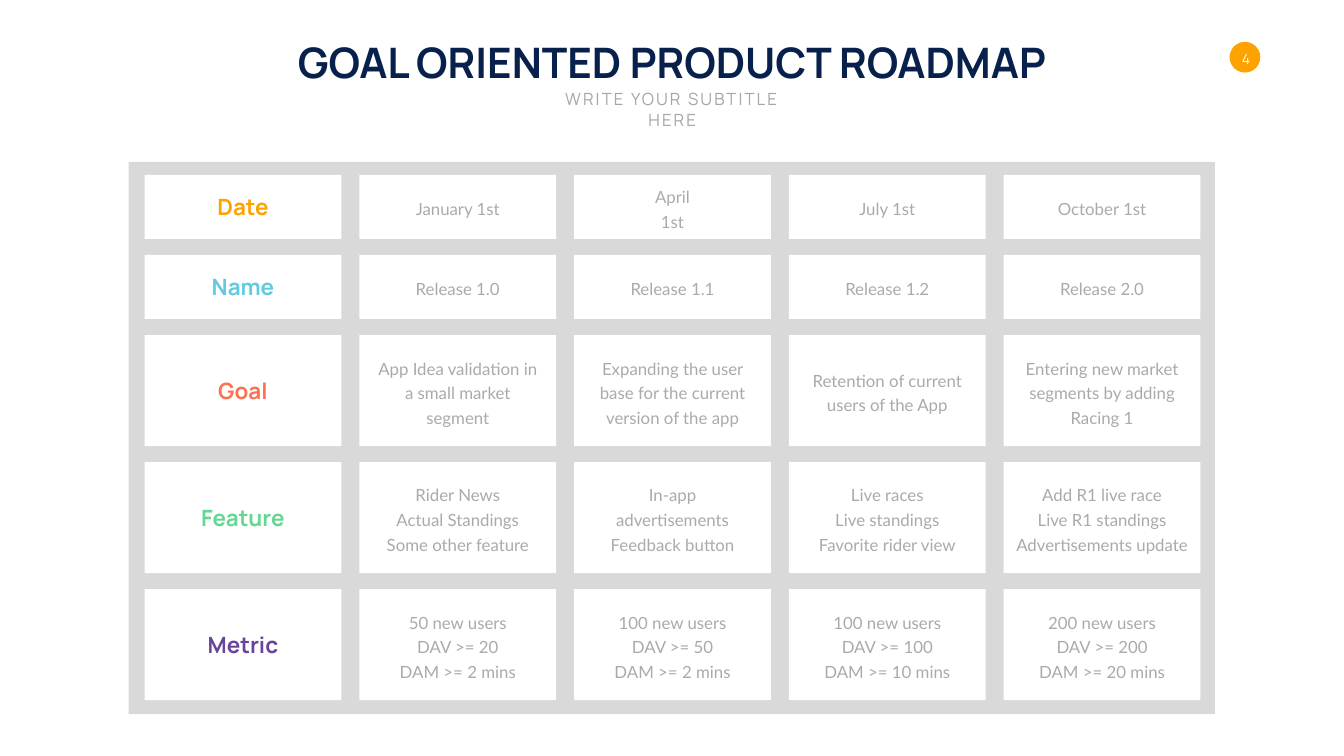
import pptx
import pptx.util
import pptx.dml.color
import pptx.enum.shapes
import pptx.enum.text

Inches, Pt = pptx.util.Inches, pptx.util.Pt
SHAPE = pptx.enum.shapes.MSO_SHAPE
ANCHOR = pptx.enum.text.MSO_ANCHOR
WHITE, GREY, ORANGE = "FEFFFE", "AAAAAA", "FEA200"


def rgb(value):
    return pptx.dml.color.RGBColor.from_string(value)


class Deck:
    heading_font, body_font = "Manrope", "Lato"

    def __init__(self, width, height):
        self.prs = pptx.Presentation()
        self.prs.slide_width, self.prs.slide_height = Inches(width), Inches(height)
        self.s = self.prs.slides.add_slide(self.prs.slide_layouts[5])
        fill = self.s.background.fill
        fill.solid()
        fill.fore_color.rgb = rgb(WHITE)

    def set_text(self, sp, text, size, color, font, bold=False, wrap=False,
                 anchor=ANCHOR.MIDDLE, line=None, spacing=None):
        tf = sp.text_frame
        tf.text = text
        tf.word_wrap = wrap
        tf.auto_size = pptx.enum.text.MSO_AUTO_SIZE.NONE
        tf.vertical_anchor = anchor
        for p in tf.paragraphs:
            p.alignment = pptx.enum.text.PP_ALIGN.CENTER
            if line:
                p.line_spacing = Pt(line)
            for r in p.runs:
                r.font.size, r.font.name, r.font.bold = Pt(size), font, bold
                r.font.color.rgb = rgb(color)
                if spacing:
                    r._r.get_or_add_rPr().set("spc", str(spacing * 100))
        return tf

    def title(self, text, x, y, w, h, size, color):
        sp = self.s.shapes.title
        sp.left, sp.top, sp.width, sp.height = map(Inches, (x, y, w, h))
        self.set_text(sp, text, size, color, self.heading_font, bold=True, anchor=ANCHOR.TOP)

    def text(self, text, x, y, w, h, size, color, font, **style):
        sp = self.s.shapes.add_textbox(*map(Inches, (x, y, w, h)))
        return self.set_text(sp, text, size, color, font, **style)

    def shape(self, kind, x, y, w, h, color):
        sp = self.s.shapes.add_shape(kind, *map(Inches, (x, y, w, h)))
        sp.shadow.inherit = False
        sp.fill.solid()
        sp.fill.fore_color.rgb = rgb(color)
        sp.line.fill.background()

    def label(self, text, cx, cy, w, color):
        self.text(text, cx - w / 2, cy - 0.32, w, 0.64, 32, color,
                  self.heading_font, bold=True)

    def entry(self, text, cx, cy, w, lines, wrap):
        h = 0.54 + 0.49 * (lines - 1)
        self.text(text, cx - w / 2, cy - h / 2, w, h, 24, GREY,
                  self.body_font, wrap=wrap, line=35)


# Each row: label, label width, colour, height, entries as (text, box width, lines)
ROWS = [
    ("Date", 1.29, ORANGE, 1.27, [
        ("January 1st", 1.87, 1), ("April 1st", 1.42, 1),
        ("July 1st", 1.32, 1), ("October 1st", 1.96, 1)]),
    ("Name", 1.6, "61CAE2", 1.27, [
        (f"Release {version}", 1.87, 1) for version in ("1.0", "1.1", "1.2", "2.0")]),
    ("Goal", 1.27, "FE7050", 2.2, [
        ("App Idea validation in a small market segment", 3.41, 3),
        ("Expanding the user base for the current version of the app", 3.41, 3),
        ("Retention of current users of the App", 3.41, 2),
        ("Entering new market segments by adding Racing 1", 3.41, 3)]),
    ("Feature", 1.98, "64D795", 2.2, [
        ("Rider News\nActual Standings\nSome other feature", 3.41, 3),
        ("In-app advertisements\nFeedback button", 3.41, 2),
        ("Live races\nLive standings\nFavorite rider view", 3.41, 3),
        ("Add R1 live race\nLive R1 standings\nAdvertisements update", 3.6, 3)]),
    ("Metric", 1.67, "69449B", 2.2, [
        (f"{users} new users\nDAV >= {dav}\nDAM >= {dam} mins", 3.41, 3)
        for users, dav, dam in ((50, 20, 2), (100, 50, 2), (100, 100, 10), (200, 200, 20))]),
]
LEFT, TOP, CELL_W = 2.87, 3.47, 3.9
COL_GAP, ROW_GAP = 0.36, 0.32


def main():
    deck = Deck(26.66, 15)

    # Page number
    deck.shape(SHAPE.OVAL, 24.39, 0.83, 0.61, 0.61, ORANGE)
    tf = deck.text("4", 24.51, 0.99, 0.41, 0.34, 20, "FFFFFF", deck.heading_font)
    tf.margin_left = tf.margin_right = tf.margin_top = tf.margin_bottom = 0

    # Heading
    deck.title("GOAL ORIENTED PRODUCT ROADMAP", 5.52, 0.67, 15.62, 1.11, 60, "08204C")
    deck.text("WRITE YOUR SUBTITLE HERE", 10.62, 1.72, 5.43, 0.5, 24, "A6A6A6",
              deck.heading_font, wrap=True, anchor=ANCHOR.TOP, spacing=3)

    # Roadmap grid
    deck.shape(SHAPE.RECTANGLE, 2.55, 3.21, 21.55, 10.96, "D9D9D9")
    y = TOP
    for name, label_w, color, h, entries in ROWS:
        lefts = [LEFT + i * (CELL_W + COL_GAP) for i in range(len(entries) + 1)]
        for x in lefts:
            deck.shape(SHAPE.RECTANGLE, x, y, CELL_W, h, WHITE)
        centers = [x + CELL_W / 2 for x in lefts]
        deck.label(name, centers[0], y + h / 2, label_w, color)
        for cx, (text, w, lines) in zip(centers[1:], entries):
            wrap = lines > 1 or text == "April 1st"
            deck.entry(text, cx, y + h / 2, w, lines, wrap)
        y += h + ROW_GAP

    deck.prs.save("out.pptx")


if __name__ == "__main__":
    main()
